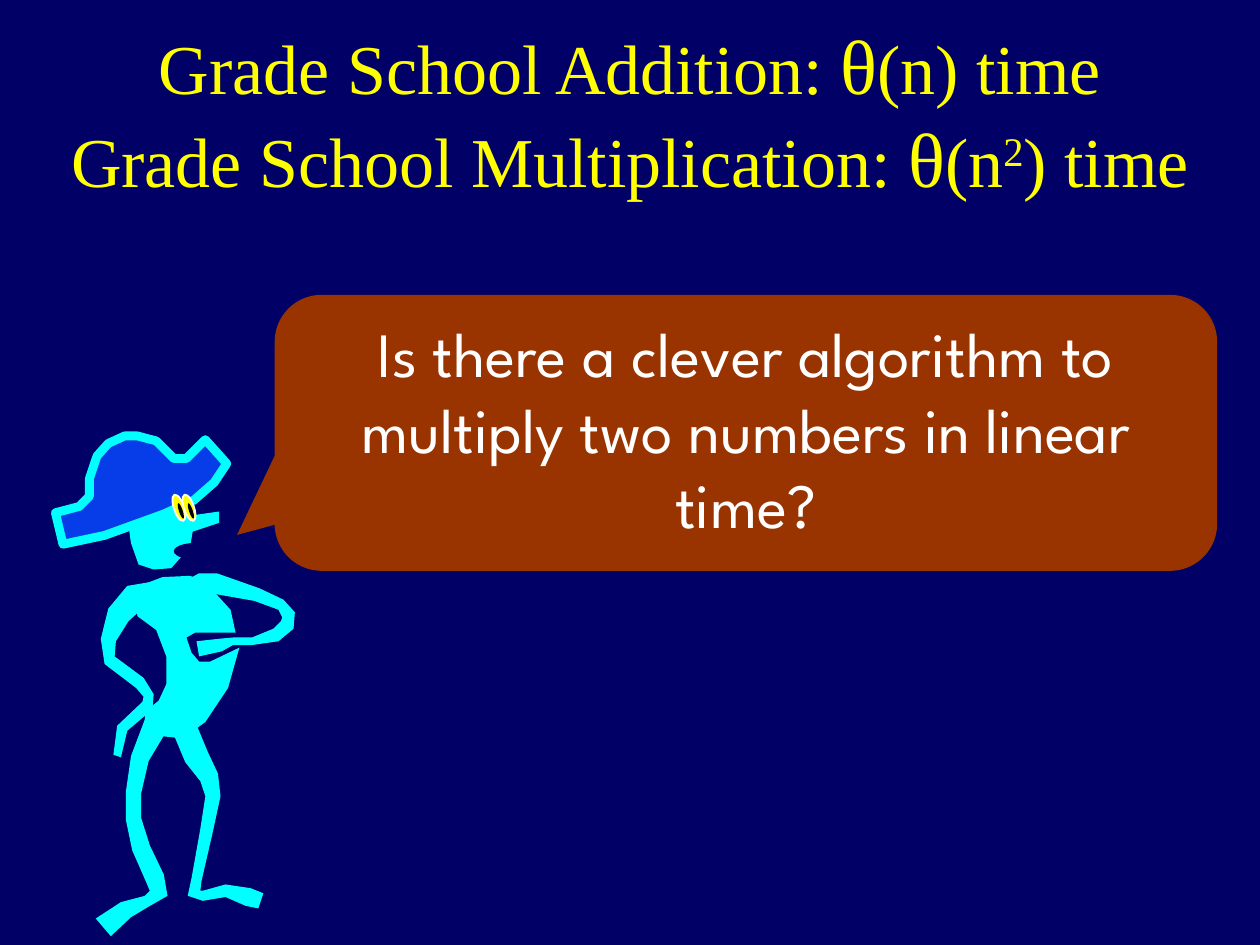
"""Slide asking whether two numbers can be multiplied in linear time."""
from math import hypot

from pptx import Presentation
from pptx.dml.color import RGBColor
from pptx.enum.shapes import MSO_SHAPE as Shape
from pptx.enum.text import MSO_ANCHOR as Anchor, PP_ALIGN as Align
from pptx.util import Pt

PX = 9144
NAVY = RGBColor(0x00, 0x00, 0x66)
YELLOW = RGBColor(0xFF, 0xFF, 0x00)
BROWN = RGBColor(0x99, 0x33, 0x00)
WHITE = RGBColor(0xFF, 0xFF, 0xFF)
CYAN = RGBColor(0x00, 0xFF, 0xFF)
BLUE = RGBColor(0x06, 0x3D, 0xE8)
BLACK = RGBColor(0x00, 0x00, 0x00)


def paint(shape, color):
    """Give a shape a flat fill without line or shadow."""
    shape.shadow.inherit = False
    shape.fill.solid()
    shape.fill.fore_color.rgb = color
    shape.line.fill.background()
    return shape


def limb_outline(joints):
    """Turn (x, y, thickness) joints along a limb into its closed outline."""
    near_side, far_side = [], []
    for index, (x, y, thickness) in enumerate(joints):
        before = joints[max(index - 1, 0)]
        after = joints[min(index + 1, len(joints) - 1)]
        run, rise = after[0] - before[0], after[1] - before[1]
        half = thickness / 2 / hypot(run, rise)
        near_side.append((round(x - rise * half), round(y + run * half)))
        far_side.append((round(x + rise * half), round(y - run * half)))
    return near_side + far_side[::-1]


deck = Presentation()
deck.slide_width, deck.slide_height = 1000 * PX, 750 * PX
page = deck.slides.add_slide(deck.slide_layouts[6])
page.background.fill.solid()
page.background.fill.fore_color.rgb = NAVY

title_lines = [
    [("Grade School Addition: ", 40), ("θ", 44), ("(n) time", 40)],
    [("Grade School Multiplication: ", 40), ("θ", 44), ("(n", 40), ("2", 40), (") time", 40)],
]
title = page.shapes.add_textbox(0, 25 * PX, 1000 * PX, 125 * PX)
title.text_frame.word_wrap = True
title.text_frame.vertical_anchor = Anchor.MIDDLE
para = title.text_frame.paragraphs[0]
para.alignment = Align.CENTER
for index, line in enumerate(title_lines):
    if index:
        para.add_line_break()
    for text, size in line:
        span = para.add_run()
        span.text = text
        span.font.size = Pt(size)
        span.font.name = "Times New Roman"
        span.font.color.rgb = YELLOW
        if text == "2":
            span.font._element.set("baseline", "30000")

callout = paint(page.shapes.add_shape(
    Shape.ROUNDED_RECTANGULAR_CALLOUT, 218 * PX, 234 * PX, 748 * PX, 219 * PX), BROWN)
for index, value in enumerate((-0.54, 0.37, 0.17)):
    callout.adjustments[index] = value
callout.text_frame.word_wrap = True
callout.text_frame.vertical_anchor = Anchor.TOP
callout.text_frame.text = "Is there a clever algorithm to multiply two numbers in linear time?"
para = callout.text_frame.paragraphs[0]
para.alignment = Align.CENTER
span = para.runs[0]
span.font.size = Pt(36)
span.font.name = "League Spartan"
span.font.color.rgb = WHITE

limbs = {
    "arm on hip": [(122, 468, 14), (107, 474, 22), (94, 488, 19), (86, 508, 12), (87, 524, 9),
                   (111, 542, 10), (118, 552, 9), (117, 560, 10), (97, 578, 9), (93, 600, 7)],
    "arm on chest": [(149, 464, 9), (158, 463, 17), (170, 463, 17), (204, 472, 11),
                     (223, 480, 9), (229, 488, 11), (228, 496, 11), (219, 504, 10),
                     (200, 509, 6), (185, 509, 6), (175, 512, 11), (157, 515, 13)],
    "left leg": [(130, 563, 16), (124, 575, 20), (111, 602, 14), (106, 629, 12),
                 (106, 650, 12), (112, 673, 14), (123, 697, 14), (126, 709, 15),
                 (117, 715, 9), (100, 722, 14), (82, 736, 19)],
    "right leg": [(140, 562, 6), (146, 577, 20), (156, 601, 20), (166, 617, 16),
                  (169, 632, 12), (164, 659, 10), (156, 698, 8), (154, 709, 11),
                  (161, 711, 9), (179, 707, 10), (197, 712, 14), (207, 715, 13)],
}
head = [(153, 409), (147, 385), (108, 385), (101, 410), (104, 431), (110, 448),
        (122, 452), (136, 451), (151, 434), (153, 422), (174, 415), (174, 406)]
torso = [(183, 484), (163, 462), (151, 457), (129, 458), (108, 466), (109, 489), (124, 500),
         (132, 521), (132, 543), (126, 556), (115, 565), (115, 576), (126, 584), (145, 586),
         (163, 573), (181, 546), (190, 514), (167, 525), (158, 525), (152, 518), (148, 506),
         (155, 502), (187, 502)]
hat = [(180, 368), (163, 349), (148, 364), (138, 364), (124, 350), (109, 346), (99, 346),
       (86, 352), (77, 362), (71, 380), (71, 394), (63, 402), (44, 407), (50, 432),
       (83, 425), (130, 408), (154, 397), (170, 383)]

figure = page.shapes.add_group_shape()
outlines = [head, torso, *map(limb_outline, limbs.values()), hat]
for outline in outlines:
    builder = figure.shapes.build_freeform(*outline[0], scale=PX)
    builder.add_line_segments(outline[1:], close=True)
    part = paint(builder.convert_to_shape(), BLUE if outline is hat else CYAN)
    if outline is hat:
        part.line.color.rgb = CYAN
        part.line.width = 7 * PX

ovals = [(138, 431, 33, 13, NAVY, 0)]
for left in (131, 139):
    ovals += [(left, 399, 22, 8, YELLOW, 71.5), (left + 6, 404, 13, 3, BLACK, 71.5)]
for *bounds, color, angle in ovals:
    oval = paint(figure.shapes.add_shape(Shape.OVAL, *(value * PX for value in bounds)), color)
    oval.rotation = angle
    if color == YELLOW:
        oval.line.color.rgb = WHITE
        oval.line.width = Pt(1)

deck.save("out.pptx")
